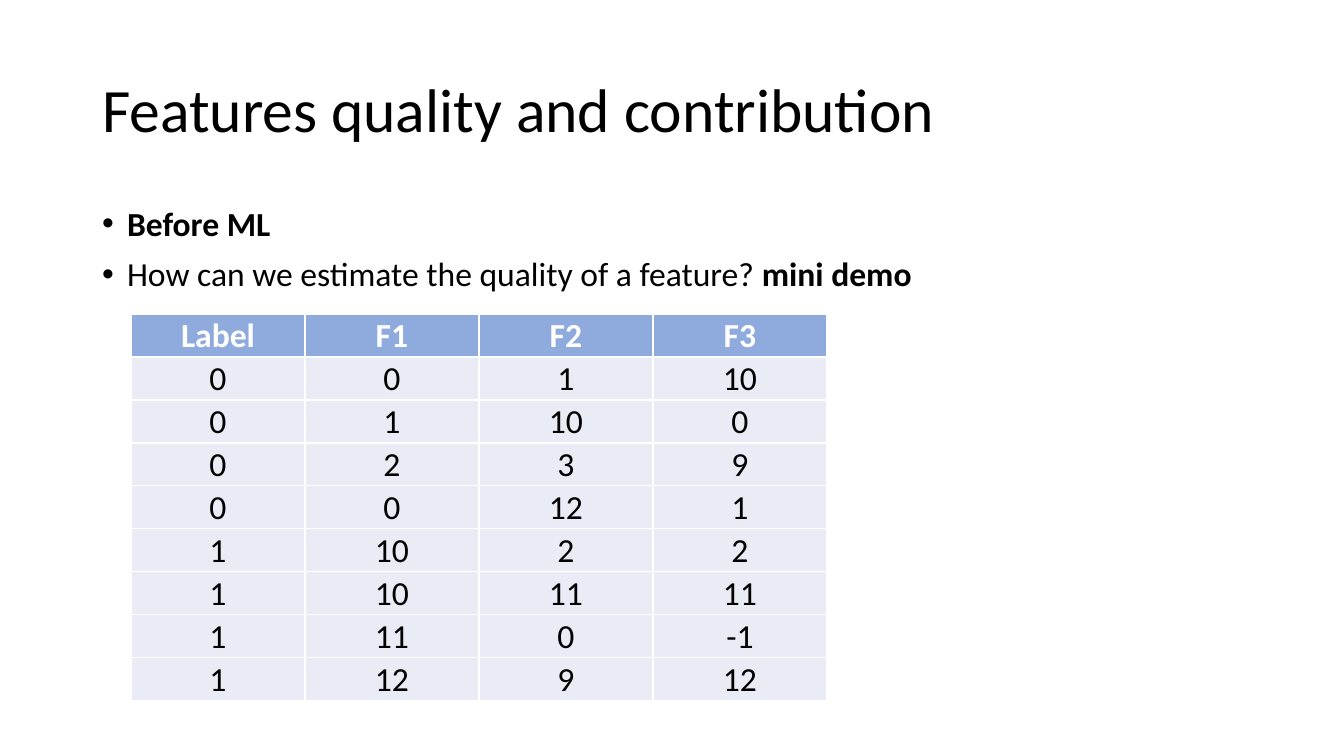
from lxml import etree
from pptx import Presentation
from pptx.dml.color import RGBColor
from pptx.enum.text import MSO_ANCHOR, MSO_AUTO_SIZE, PP_ALIGN
from pptx.oxml.ns import qn
from pptx.util import Pt

EMU_PER_PX = 914400 / 100.8
LEFT, CENTER = PP_ALIGN.LEFT, PP_ALIGN.CENTER
TOP, MIDDLE, BOTTOM = MSO_ANCHOR.TOP, MSO_ANCHOR.MIDDLE, MSO_ANCHOR.BOTTOM
NO_AUTOFIT = MSO_AUTO_SIZE.NONE

FONT = "Calibri"
BLACK = RGBColor(0x00, 0x00, 0x00)
WHITE = RGBColor(0xFF, 0xFF, 0xFF)
HEADER_BLUE = RGBColor(0x8F, 0xAA, 0xDC)
ROW_GRAY = RGBColor(0xE9, 0xEB, 0xF5)

TITLE_BOX = (92, 40, 1159, 146)
BODY_BOX = (92, 202, 1159, 486)
TABLE_BOX = (131, 314, 696, 387)

TITLE = "Features quality and contribution"
BULLETS = [
    [("Before ML", True)],
    [("How can we estimate the quality of a feature? ", False), ("mini demo", True)],
]
FEATURE_ROWS = [
    ("Label", "F1", "F2", "F3"),
    (0, 0, 1, 10),
    (0, 1, 10, 0),
    (0, 2, 3, 9),
    (0, 0, 12, 1),
    (1, 10, 2, 2),
    (1, 10, 11, 11),
    (1, 11, 0, -1),
    (1, 12, 9, 12),
]


def px(length):
    """Turn a length in px into EMU."""
    return round(length * EMU_PER_PX)


def apply_format(target, **values):
    """Set each format value as an attribute of the target."""
    for name, value in values.items():
        setattr(target, name, value)


def place(shape, box):
    """Move a shape to a box given in px."""
    names = ("left", "top", "width", "height")
    apply_format(shape, **dict(zip(names, map(px, box))))


def add_run(paragraph, text, size, color=BLACK, bold=False):
    """Add a formatted run to a paragraph."""
    run = paragraph.add_run()
    run.text = text
    apply_format(run.font, name=FONT, size=Pt(size), bold=bold)
    run.font.color.rgb = color


def add_bullet(paragraph):
    """Give a paragraph a round bullet with a hanging indent."""
    properties = paragraph._p.get_or_add_pPr()
    properties.set("marL", str(px(25)))
    properties.set("indent", str(px(-25)))
    etree.SubElement(properties, qn("a:buFont"), typeface="Arial")
    etree.SubElement(properties, qn("a:buChar"), char="•")


def add_borders(cell, color):
    """Draw one-point borders on all sides of a cell."""
    properties = cell._tc.get_or_add_tcPr()
    for side in ("a:lnL", "a:lnR", "a:lnT", "a:lnB"):
        line = etree.SubElement(properties, qn(side), w=str(Pt(1)))
        fill = etree.SubElement(line, qn("a:solidFill"))
        etree.SubElement(fill, qn("a:srgbClr"), val=str(color))


def fill_title(shape, box):
    """Place and write the slide title."""
    place(shape, box)
    apply_format(shape.text_frame, auto_size=NO_AUTOFIT, word_wrap=True,
                 vertical_anchor=MIDDLE)
    paragraph = shape.text_frame.paragraphs[0]
    apply_format(paragraph, alignment=LEFT, line_spacing=0.9)
    add_run(paragraph, TITLE, 44)


def fill_body(shape, box):
    """Place and write the bulleted list."""
    place(shape, box)
    frame = shape.text_frame
    apply_format(frame, auto_size=NO_AUTOFIT, word_wrap=True, vertical_anchor=TOP)
    for index, bullet in enumerate(BULLETS):
        paragraph = frame.add_paragraph() if index else frame.paragraphs[0]
        apply_format(paragraph, alignment=LEFT, line_spacing=0.9, space_before=Pt(10))
        add_bullet(paragraph)
        for text, bold in bullet:
            add_run(paragraph, text, 24, bold=bold)


def fill_cell(cell, value, is_header):
    """Write and format one table cell."""
    add_borders(cell, WHITE)
    apply_format(cell, vertical_anchor=BOTTOM, margin_left=px(1), margin_right=px(1),
                 margin_top=px(1), margin_bottom=0)
    cell.fill.solid()
    cell.fill.fore_color.rgb = HEADER_BLUE if is_header else ROW_GRAY
    paragraph = cell.text_frame.paragraphs[0]
    paragraph.alignment = CENTER
    add_run(paragraph, str(value), 24, WHITE if is_header else BLACK, is_header)


def add_feature_table(slide, box):
    """Add the table of labels and feature values."""
    row_count, column_count = len(FEATURE_ROWS), len(FEATURE_ROWS[0])
    table = slide.shapes.add_table(row_count, column_count, *map(px, box)).table
    table.horz_banding = False
    for column in table.columns:
        column.width = px(box[2] / column_count)
    for row_index, values in enumerate(FEATURE_ROWS):
        table.rows[row_index].height = px(box[3] / row_count)
        for column_index, value in enumerate(values):
            fill_cell(table.cell(row_index, column_index), value, row_index == 0)


def main():
    """Build and save the presentation."""
    presentation = Presentation()
    apply_format(presentation, slide_width=px(1344), slide_height=px(756))
    slide = presentation.slides.add_slide(presentation.slide_layouts[1])
    fill_title(slide.shapes.title, TITLE_BOX)
    fill_body(slide.placeholders[1], BODY_BOX)
    add_feature_table(slide, TABLE_BOX)
    presentation.save("out.pptx")


if __name__ == "__main__":
    main()
